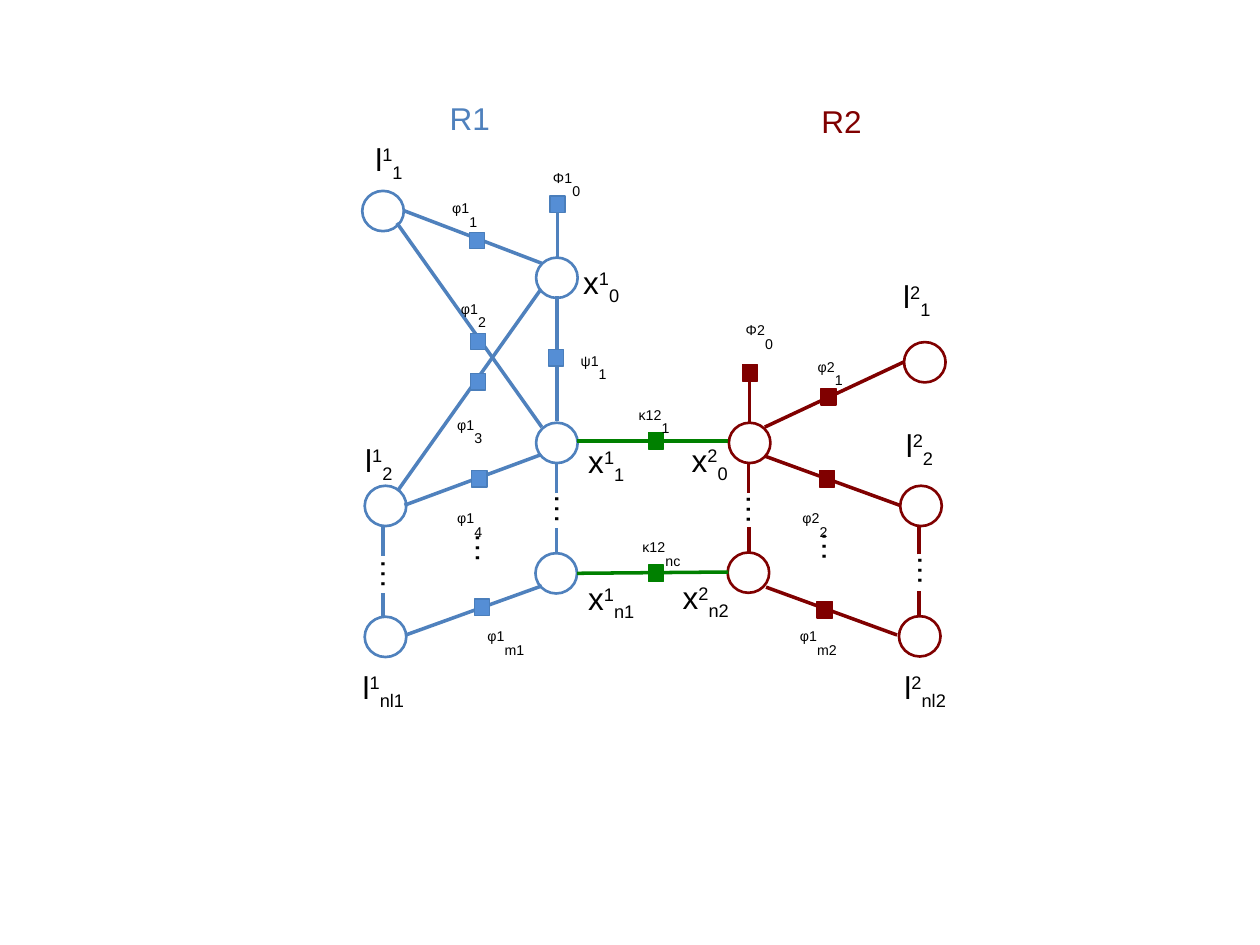
from dataclasses import dataclass

from lxml.etree import SubElement
from pptx import Presentation
from pptx.dml.color import RGBColor
from pptx.enum.shapes import MSO_CONNECTOR, MSO_SHAPE
from pptx.enum.text import MSO_AUTO_SIZE
from pptx.oxml.ns import qn
from pptx.util import Inches, Pt

BLACK = RGBColor(0x00, 0x00, 0x00)
BLUE = RGBColor(0x4F, 0x81, 0xBD)
BLUE_FILL = RGBColor(0x55, 0x8E, 0xD5)
BLUE_BORDER = RGBColor(0x4A, 0x7E, 0xBB)
RED = RGBColor(0x80, 0x00, 0x00)
GREEN = RGBColor(0x00, 0x80, 0x00)

CELL = Inches(10) // 100
FACTOR_WIDTH = 5.9


@dataclass
class Box:
    """Region origin, in cells of a grid of 100 columns by 75 rows."""

    column: float
    row: float

    def place(self, column, row):
        """Return the slide position of a cell of this region."""
        return round((self.column + column) * CELL), round((self.row + row) * CELL)


@dataclass
class Palette:
    """Colours of the lines and factor squares of one region."""

    line: RGBColor
    fill: RGBColor
    border: RGBColor


def add_text(slide, box, column, row, width, height, base="", superscript="", subscript="",
             size=18, color=BLACK, rotation=0):
    """Add a label made of a base, a superscript and a subscript."""
    shape = slide.shapes.add_textbox(*box.place(column, row), round(width * CELL), round(height * CELL))
    shape.rotation = rotation
    frame = shape.text_frame
    frame.word_wrap = True
    frame.margin_right = 0
    frame.auto_size = MSO_AUTO_SIZE.SHAPE_TO_FIT_TEXT
    paragraph = frame.paragraphs[0]
    for text, baseline in ((base, 0), (superscript, 30000), (subscript, -25000)):
        if text:
            run = paragraph.add_run()
            run.text = text
            run.font.name = "Arial"
            run.font.size = Pt(size)
            run.font.color.rgb = color
            if baseline:
                run.font._element.set("baseline", str(baseline))


def add_line(slide, box, start_column, start_row, end_column, end_row, color):
    """Add a straight edge without shadow."""
    connector = slide.shapes.add_connector(
        MSO_CONNECTOR.STRAIGHT, *box.place(start_column, start_row), *box.place(end_column, end_row))
    connector.line.color.rgb = color
    connector.line.width = Pt(2)
    SubElement(connector._element.spPr, qn("a:effectLst"))
    return connector


def add_centered(slide, box, kind, column, row, width, height, line, line_width, fill=None):
    """Add a preset shape centred on a cell."""
    left, top = box.place(column - width / 2, row - height / 2)
    shape = slide.shapes.add_shape(kind, left, top, round(width * CELL), round(height * CELL))
    shape.shadow.inherit = False
    shape.line.color.rgb = line
    shape.line.width = Pt(line_width)
    if fill is None:
        shape.fill.background()
    else:
        shape.fill.solid()
        shape.fill.fore_color.rgb = fill
    return shape


def add_factor(slide, box, column, row, palette):
    """Add the small square of a factor."""
    return add_centered(slide, box, MSO_SHAPE.RECTANGLE, column, row, 1.2, 1.3,
                        palette.border, 0.75, palette.fill)


def add_factor_labels(slide, box, labels):
    """Add the small labels beside the factors."""
    for column, row, width, symbol, index in labels:
        add_text(slide, box, column, row, width, 3.7, superscript=symbol, subscript=index, size=14)


def add_edges_and_factors(slide, box, palette, edges, factors):
    """Add edges with the factor squares above them."""
    for edge in edges:
        add_line(slide, box, *edge, palette.line)
    for column, row in factors:
        add_factor(slide, box, column, row, palette)


def add_robot_graph(slide, box, palette, title, nodes, edges, factors, prior, variables,
                    factor_labels, dots, dots_rotation):
    """Add the factor graph of one robot."""
    for column, row in nodes:
        add_centered(slide, box, MSO_SHAPE.OVAL, column, row, 3.3, 3.2, palette.line, 1.5)
    add_edges_and_factors(slide, box, palette, edges, factors)
    column, prior_row, node_row = prior
    square = add_factor(slide, box, column, prior_row, palette)
    connector = add_line(slide, box, column, node_row, column, prior_row, palette.line)
    connector.end_connect(square, 2)
    title_column, title_row, name = title
    add_text(slide, box, title_column, title_row, 5.2, 4, base=name, color=palette.line)
    for column, row, width, base, robot, index in variables:
        add_text(slide, box, column, row, width, 4.4, base=base, superscript=robot, subscript=index)
    add_factor_labels(slide, box, factor_labels)
    for column, row in dots:
        add_text(slide, box, column, row, 4.9, 4, base="…", rotation=dots_rotation)


def add_coupling(slide, box, palette, edges, factors, labels):
    """Add the factors that link both robots."""
    add_edges_and_factors(slide, box, palette, edges, factors)
    add_factor_labels(slide, box, labels)


def main():
    """Build the slide and save it."""
    presentation = Presentation()
    presentation.slide_width, presentation.slide_height = 100 * CELL, 75 * CELL
    slide = presentation.slides.add_slide(presentation.slide_layouts[6])
    add_robot_graph(
        slide, Box(28, 7), Palette(BLUE, BLUE_FILL, BLUE_BORDER), title=(6.7, 0.35, "R1"),
        nodes=[(2.4, 9.75), (2.6, 33.15), (2.6, 43.55), (16.2, 15.05), (16.2, 28.15), (16.15, 38.5)],
        edges=[(15, 13.9, 4, 9.7), (14.9, 29.1, 4.1, 33.1), (16.2, 26.4, 16.2, 16.5),
               (14.9, 16, 3.6, 31.9), (15, 26.9, 3.5, 10.7), (15, 39.5, 4.2, 43.4),
               (16.15, 32.1, 16.15, 29.8), (16.15, 36.9, 16.15, 34.9),
               (2.4, 37.1, 2.4, 34.8), (2.4, 41.9, 2.4, 40.1)],
        factors=[(16.15, 21.4), (10.05, 31), (9.95, 23.3), (9.85, 12.1), (9.95, 20.1), (10.25, 41.2)],
        prior=(16.25, 9.2, 13.4),
        variables=[(17.3, 13.4, 4.8, "x", "1", "0"), (17.7, 27.6, 4.8, "x", "1", "1"),
                   (17.7, 38.5, 5.6, "x", "1", "n1"), (0.8, 3.6, 4.1, "l", "1", "1"),
                   (0, 27.5, 4.1, "l", "1", "2"), (-0.2, 45.5, 5.3, "l", "1", "nl1")],
        factor_labels=[(17.1, 20.2, 4, "ψ1", "1"), (14.9, 5.7, 4.1, "Φ1", "0"),
                       (6.9, 8.1, FACTOR_WIDTH, "φ1", "1"), (7.6, 16.1, FACTOR_WIDTH, "φ1", "2"),
                       (7.3, 25.3, FACTOR_WIDTH, "φ1", "3"), (7.3, 32.7, FACTOR_WIDTH, "φ1", "4"),
                       (9.7, 42.1, 4.9, "φ1", "m1")],
        dots=[(14.6, 31.6), (8.3, 34.7), (0.8, 36.8)], dots_rotation=90)
    add_robot_graph(
        slide, Box(53, 7), Palette(RED, RED, RED), title=(11.2, 0.6, "R2"),
        nodes=[(20.4, 21.75), (20.1, 33.15), (20, 43.5), (6.5, 28.15), (6.4, 38.45)],
        edges=[(7.7, 29.2, 18.4, 33.1), (7.7, 26.9, 18.8, 21.7), (7.8, 39.6, 18.2, 43.4),
               (6.4, 32.1, 6.4, 29.8), (6.45, 36.9, 6.45, 34.8),
               (19.95, 37, 19.95, 34.7), (19.95, 41.9, 19.95, 39.9)],
        factors=[(12.65, 31), (12.75, 24.5), (12.45, 41.4)],
        prior=(6.5, 22.6, 26.5),
        variables=[(0.9, 27.5, 4.8, "x", "2", "0"), (0.2, 38.4, 5.6, "x", "2", "n2"),
                   (17.7, 14.5, 4.1, "l", "2", "1"), (17.9, 26.3, 4.1, "l", "2", "2"),
                   (17.8, 45.5, 5.3, "l", "2", "nl2")],
        factor_labels=[(5.2, 17.8, 4.1, "Φ2", "0"), (10.9, 20.7, FACTOR_WIDTH, "φ2", "1"),
                       (9.7, 32.7, FACTOR_WIDTH, "φ2", "2"), (9.5, 42.1, 4.9, "φ1", "m2")],
        dots=[(9.1, 34.2), (16.7, 36.1), (3.1, 31.2)], dots_rotation=270)
    add_coupling(
        slide, Box(45, 31), Palette(GREEN, GREEN, GREEN),
        edges=[(0.8, 4, 12.8, 4), (0.8, 14.5, 12.8, 14.4)],
        factors=[(7.05, 4), (7.05, 14.5)],
        labels=[(4.7, 0.5, FACTOR_WIDTH, "κ12", "1"), (5, 11, FACTOR_WIDTH, "κ12", "nc")])
    presentation.save("out.pptx")


if __name__ == "__main__":
    main()
